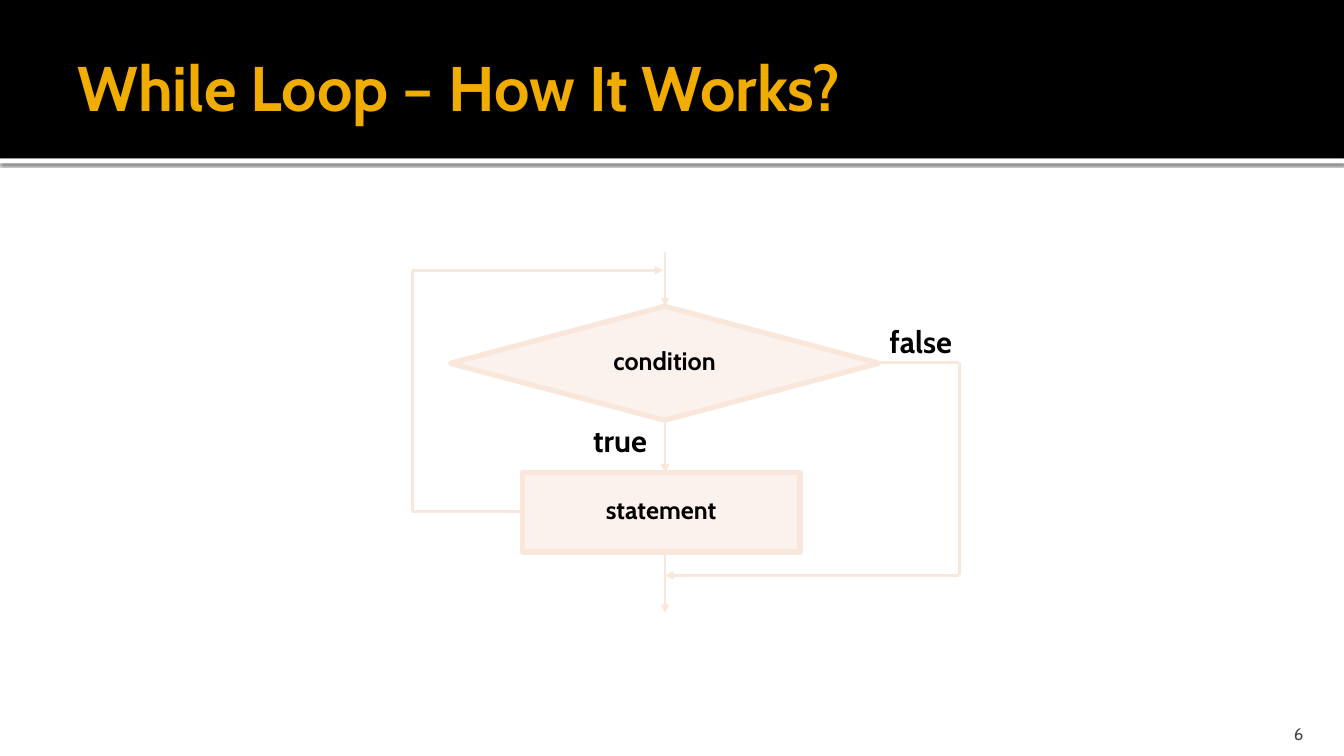
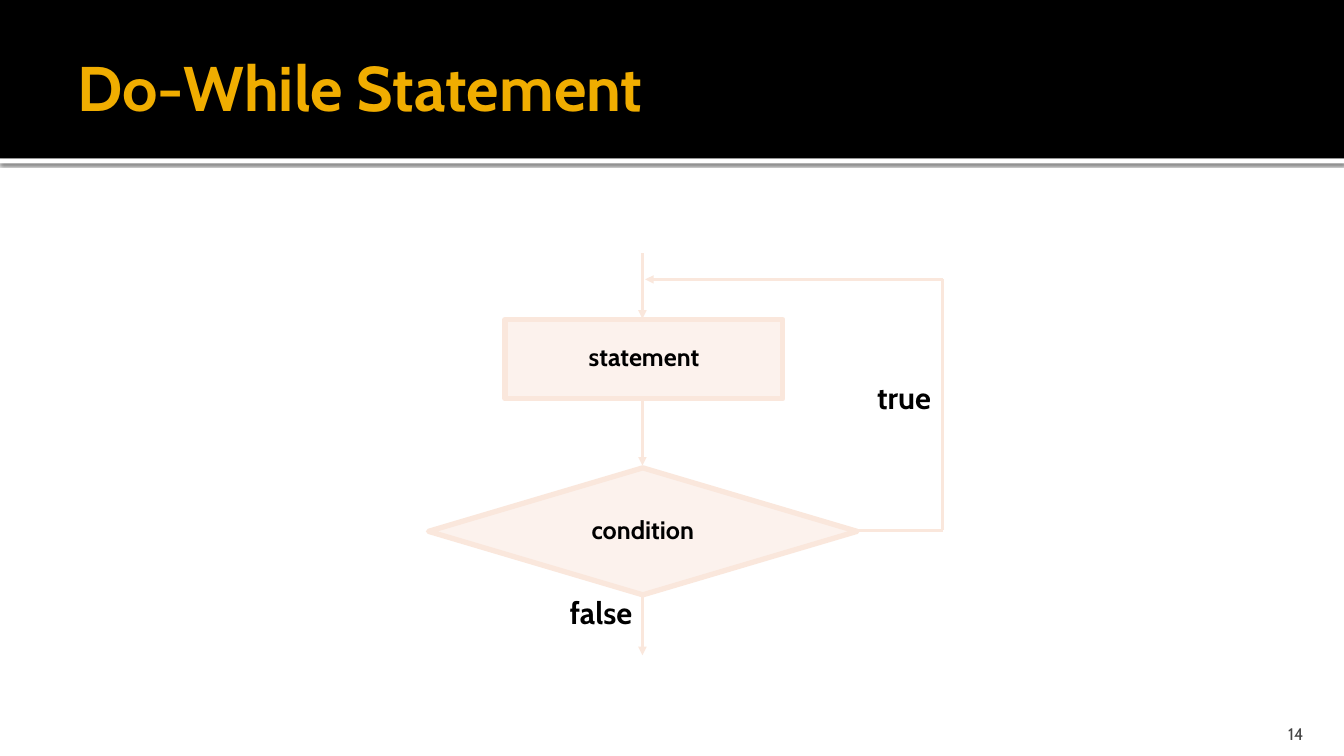
from dataclasses import dataclass
from itertools import pairwise

from lxml.etree import SubElement
from pptx import Presentation
from pptx.dml.color import RGBColor
from pptx.enum.shapes import MSO_CONNECTOR, MSO_SHAPE
from pptx.enum.text import MSO_ANCHOR, MSO_AUTO_SIZE, PP_ALIGN
from pptx.oxml.ns import qn
from pptx.util import Cm, Pt


@dataclass(frozen=True)
class Theme:
    font: str = "Cabin"
    band: str = "000000"
    stripe: str = "FFFFFF"
    title: str = "F0AD00"
    text: str = "000000"
    number: str = "454545"
    flow: str = "FAE7DC"
    flow_opacity: int = 50
    title_size: int = 45
    label_size: int = 22
    node_size: int = 18
    number_size: int = 12
    outline: float = 3.78
    arrow: float = 2
    line_spacing: float = 0.85


THEME = Theme()
TITLE_ONLY = 5
PAGE_WIDTH, PAGE_HEIGHT = 33.87, 19.05
BAND_HEIGHT, STRIPE_HEIGHT = 3.99, 0.13
DIAMOND_WIDTH = 10.8
STATEMENT_WIDTH, STATEMENT_HEIGHT = 7, 2


def rgb(value):
    return RGBColor.from_string(value)


def write(shape, text, size, color, bold=True, align=PP_ALIGN.CENTER,
          anchor=MSO_ANCHOR.MIDDLE, spacing=None):
    frame = shape.text_frame
    frame.text = text
    frame.word_wrap = True
    frame.auto_size = MSO_AUTO_SIZE.NONE
    frame.vertical_anchor = anchor
    para = frame.paragraphs[0]
    para.alignment = align
    para.line_spacing = spacing
    font = para.runs[0].font
    font.name, font.size, font.bold = THEME.font, Pt(size), bold
    font.color.rgb = rgb(color)
    return frame


def add_solid(page, preset, left, top, width, height, color):
    shape = page.shapes.add_shape(preset, Cm(left), Cm(top), Cm(width), Cm(height))
    shape.shadow.inherit = False
    shape.fill.solid()
    shape.fill.fore_color.rgb = rgb(color)
    shape.line.fill.background()
    return shape


def add_soft_shadow(shape):
    effects = shape.element.spPr.find(qn("a:effectLst"))
    shadow = SubElement(effects, qn("a:outerShdw"), blurRad=str(Pt(2.5)),
                        dist=str(Pt(0.8)), dir="5400000", rotWithShape="0")
    color = SubElement(shadow, qn("a:srgbClr"), val="000000")
    SubElement(color, qn("a:alpha"), val="60000")


def add_node(page, preset, text, left, top, width, height):
    node = add_solid(page, preset, left, top, width, height, THEME.flow)
    color = node.element.spPr.find(qn("a:solidFill")).find(qn("a:srgbClr"))
    SubElement(color, qn("a:alpha"), val=str(THEME.flow_opacity * 1000))
    node.line.color.rgb = rgb(THEME.flow)
    node.line.width = Pt(THEME.outline)
    write(node, text, THEME.node_size, THEME.text, spacing=THEME.line_spacing)


def add_condition(page, left, top, height):
    add_node(page, MSO_SHAPE.FLOWCHART_DECISION, "condition",
             left, top, DIAMOND_WIDTH, height)


def add_statement(page, left, top):
    add_node(page, MSO_SHAPE.RECTANGLE, "statement",
             left, top, STATEMENT_WIDTH, STATEMENT_HEIGHT)


def add_label(page, text, left, top, width):
    box = page.shapes.add_textbox(Cm(left), Cm(top), Cm(width), Cm(1.07))
    write(box, text, THEME.label_size, THEME.text, anchor=MSO_ANCHOR.TOP,
          spacing=THEME.line_spacing)


def add_route(page, *points):
    for start, end in pairwise(points):
        line = page.shapes.add_connector(
            MSO_CONNECTOR.STRAIGHT, *map(Cm, start), *map(Cm, end))
        line.line.color.rgb = rgb(THEME.flow)
        line.line.width = Pt(THEME.arrow)
        properties = line.element.spPr
        if end == points[-1]:
            SubElement(properties.find(qn("a:ln")), qn("a:tailEnd"), type="triangle")
        SubElement(properties, qn("a:effectLst"))


def add_down_arrows(page, axis, spans):
    for top, bottom in spans:
        add_route(page, (axis, top), (axis, bottom))


def add_page(deck, title_text, number):
    page = deck.slides.add_slide(deck.slide_layouts[TITLE_ONLY])
    stripe = add_solid(page, MSO_SHAPE.RECTANGLE, 0, BAND_HEIGHT,
                       PAGE_WIDTH, STRIPE_HEIGHT, THEME.stripe)
    add_soft_shadow(stripe)
    add_solid(page, MSO_SHAPE.RECTANGLE, 0, 0, PAGE_WIDTH, BAND_HEIGHT, THEME.band)

    title = page.shapes.title
    title.element.getparent().append(title.element)
    title.left, title.top, title.width, title.height = map(Cm, (1.7, 0.43, 23.29, 3.48))
    frame = write(title, title_text, THEME.title_size, THEME.title, align=PP_ALIGN.LEFT)
    frame.margin_left = Cm(0.25)
    frame.margin_top = frame.margin_right = frame.margin_bottom = Cm(0.13)

    box = page.shapes.add_textbox(Cm(30.38), Cm(17.98), Cm(2.72), Cm(0.76))
    frame = write(box, str(number), THEME.number_size, THEME.number, bold=False,
                  align=PP_ALIGN.RIGHT, anchor=MSO_ANCHOR.BOTTOM)
    frame.margin_bottom = 0
    return page


def add_while_page(deck):
    page = add_page(deck, "While Loop – How It Works?", 6)
    axis = 16.76
    add_condition(page, 11.35, 7.72, 2.87)
    add_statement(page, 13.16, 11.91)
    add_down_arrows(page, axis, [(6.35, 7.72), (10.59, 11.91), (13.91, 15.44)])
    add_route(page, (13.16, 12.88), (10.39, 12.88), (10.39, 6.81), (16.71, 6.81))
    add_route(page, (22, 9.14), (24.17, 9.14), (24.17, 14.5), (axis, 14.5))
    add_label(page, "true", 14.33, 10.64, 2.59)
    add_label(page, "false", 22, 8.15, 2.41)


def add_do_while_page(deck):
    page = add_page(deck, "Do-While Statement", 14)
    axis = 16.19
    add_statement(page, 12.73, 8.05)
    add_condition(page, 10.8, 11.79, 3.2)
    add_down_arrows(page, axis, [(6.38, 8.03), (10.08, 11.73), (14.99, 16.51)])
    add_route(page, (21.59, 13.36), (23.76, 13.36), (23.76, 7.04), (16.26, 7.04))
    add_label(page, "true", 21.49, 9.55, 2.59)
    add_label(page, "false", 13.94, 14.99, 2.41)


def main():
    deck = Presentation()
    deck.slide_width, deck.slide_height = Cm(PAGE_WIDTH), Cm(PAGE_HEIGHT)
    add_while_page(deck)
    add_do_while_page(deck)
    deck.save("out.pptx")


if __name__ == "__main__":
    main()
